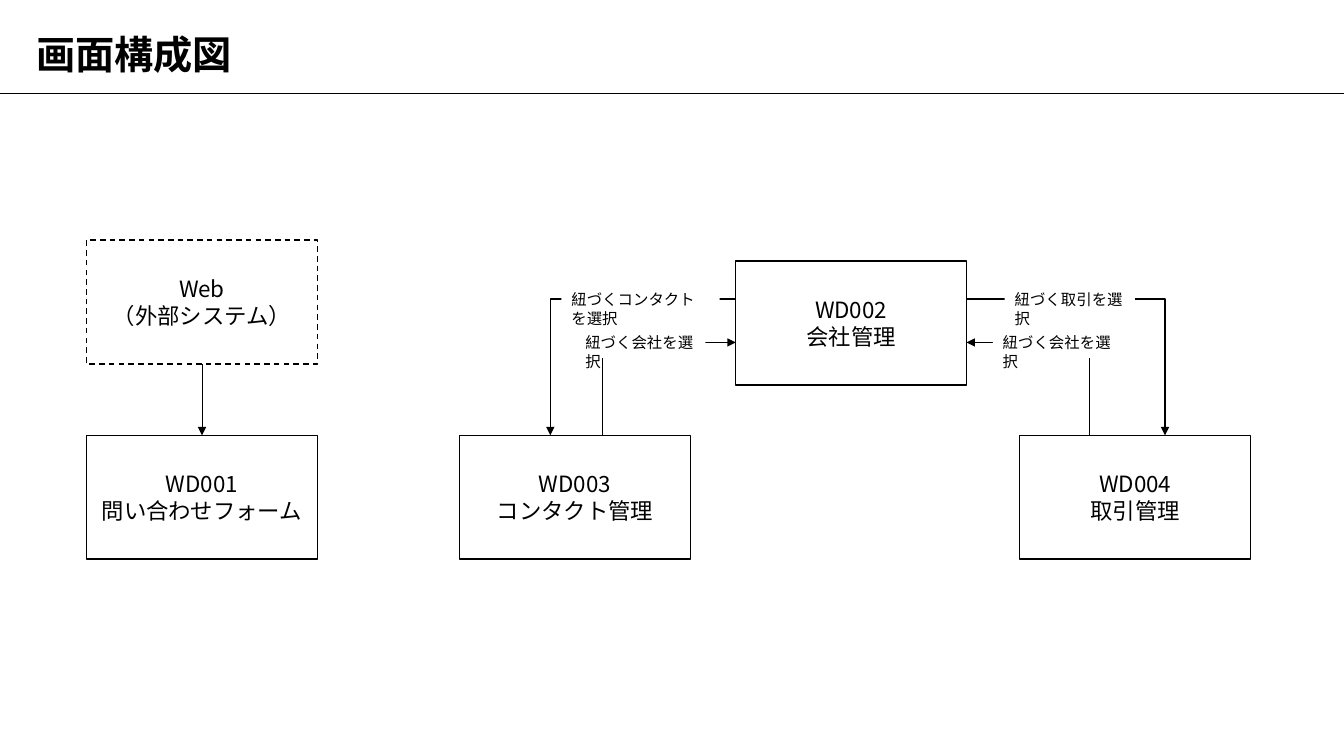
from pptx import Presentation
from pptx.dml.color import RGBColor
from pptx.enum.dml import MSO_LINE
from pptx.enum.shapes import MSO_CONNECTOR as Conn, MSO_SHAPE as Kind
from pptx.enum.text import MSO_ANCHOR as Anchor, MSO_AUTO_SIZE as Fit, PP_ALIGN as Align
from pptx.oxml.ns import qn
from pptx.util import Cm, Pt
from lxml.etree import SubElement

FONT = "Noto Sans CJK JP"
BLACK, WHITE = "000000", "FFFFFF"
WIDE, HIGH = 5.82, 3.12


def paint(target, code):
    if hasattr(target, "solid"):
        target.solid()
        target = target.fore_color
    target.rgb = RGBColor.from_string(code)


def style(para, size, bold=False):
    font = para.font
    font.size, font.bold, font.name = Pt(size), bold, FONT
    paint(font.color, BLACK)
    SubElement(para._p.pPr.find(qn("a:defRPr")), qn("a:ea"), typeface=FONT)


def stroke(shape, width, end=None):
    paint(shape.line.fill, BLACK)
    shape.line.width = Pt(width)
    if end:
        SubElement(shape.line._get_or_add_ln(), qn("a:" + end), type="triangle")


def rule(slide, start, stop, end=None):
    line = slide.shapes.add_connector(Conn.STRAIGHT, *map(Cm, start + stop))
    stroke(line, 0.5, end)
    SubElement(line._element.spPr, qn("a:effectLst"))


def route(slide, points, end="tailEnd"):
    spots = [(Cm(x), Cm(y)) for x, y in points]
    form = slide.shapes.build_freeform(*spots[0])
    form.add_line_segments(spots[1:], close=False)
    shape = form.convert_to_shape()
    shape.shadow.inherit = False
    shape.fill.background()
    stroke(shape, 1, end)


def panel(slide, x, y, wide, high, lines, size, align, anchor):
    shape = slide.shapes.add_shape(Kind.RECTANGLE, Cm(x), Cm(y), Cm(wide), Cm(high))
    shape.shadow.inherit = False
    paint(shape.fill, WHITE)
    frame = shape.text_frame
    frame.word_wrap, frame.auto_size = True, Fit.NONE
    frame.vertical_anchor = anchor
    frame.text = "\n".join(lines)
    for para in frame.paragraphs:
        para.alignment = align
        style(para, size)
    return shape


def screen(slide, x, y, lines, dash=False):
    shape = panel(slide, x, y, WIDE, HIGH, lines, 16, Align.CENTER, Anchor.MIDDLE)
    stroke(shape, 1)
    if dash:
        shape.line.dash_style = MSO_LINE.DASH


def label(slide, x, y, text, wide=3.28):
    shape = panel(slide, x, y, wide, 0.74, [text], 11, Align.LEFT, Anchor.TOP)
    shape.line.fill.background()


def header(slide, text, wide):
    rule(slide, (0, 2.34), (wide, 2.34))
    title = slide.shapes.title
    title.left, title.top, title.width, title.height = map(Cm, (0.66, 0.53, 32.23, 1.78))
    title.text_frame.text = text
    title.text_frame.vertical_anchor = Anchor.MIDDLE
    para = title.text_frame.paragraphs[0]
    para.alignment = Align.LEFT
    para.line_spacing = 0.9
    style(para, 28, True)


def inquiry(slide, x, y):
    low, mid = y + 4.92, x + WIDE / 2
    screen(slide, x, low, ["WD001", "問い合わせフォーム"])
    screen(slide, x, y, ["Web", "（外部システム）"], dash=True)
    rule(slide, (mid, y + HIGH), (mid, low), "tailEnd")


def company(slide, x, y):
    left, right = x + 6.96, x + 6.96 + WIDE
    low, out, back = y + 4.39, y + 0.96, y + 2.05
    screen(slide, left, y, ["WD002", "会社管理"])
    screen(slide, x, low, ["WD003", "コンタクト管理"])
    screen(slide, x + 14.12, low, ["WD004", "取引管理"])
    route(slide, [(x + 3.61, low), (x + 3.61, back), (left, back)])
    route(slide, [(left, out), (x + 2.29, out), (x + 2.29, low)])
    route(slide, [(right, back), (x + 15.88, back), (x + 15.88, low)], "headEnd")
    route(slide, [(right, out), (x + 17.78, out), (x + 17.78, low)])
    label(slide, x + 2.92, y + 1.7, "紐づく会社を選択")
    label(slide, x + 2.57, y + 0.61, "紐づくコンタクトを選択", 3.99)
    label(slide, x + 13.44, y + 1.7, "紐づく会社を選択")
    label(slide, x + 13.74, y + 0.61, "紐づく取引を選択")


def main():
    deck = Presentation()
    deck.slide_width, deck.slide_height = Cm(33.87), Cm(19.05)
    slide = deck.slides.add_slide(deck.slide_layouts[5])
    header(slide, "画面構成図", 33.87)
    inquiry(slide, 2.18, 6.05)
    company(slide, 11.58, 6.58)
    deck.save("out.pptx")


if __name__ == "__main__":
    main()
